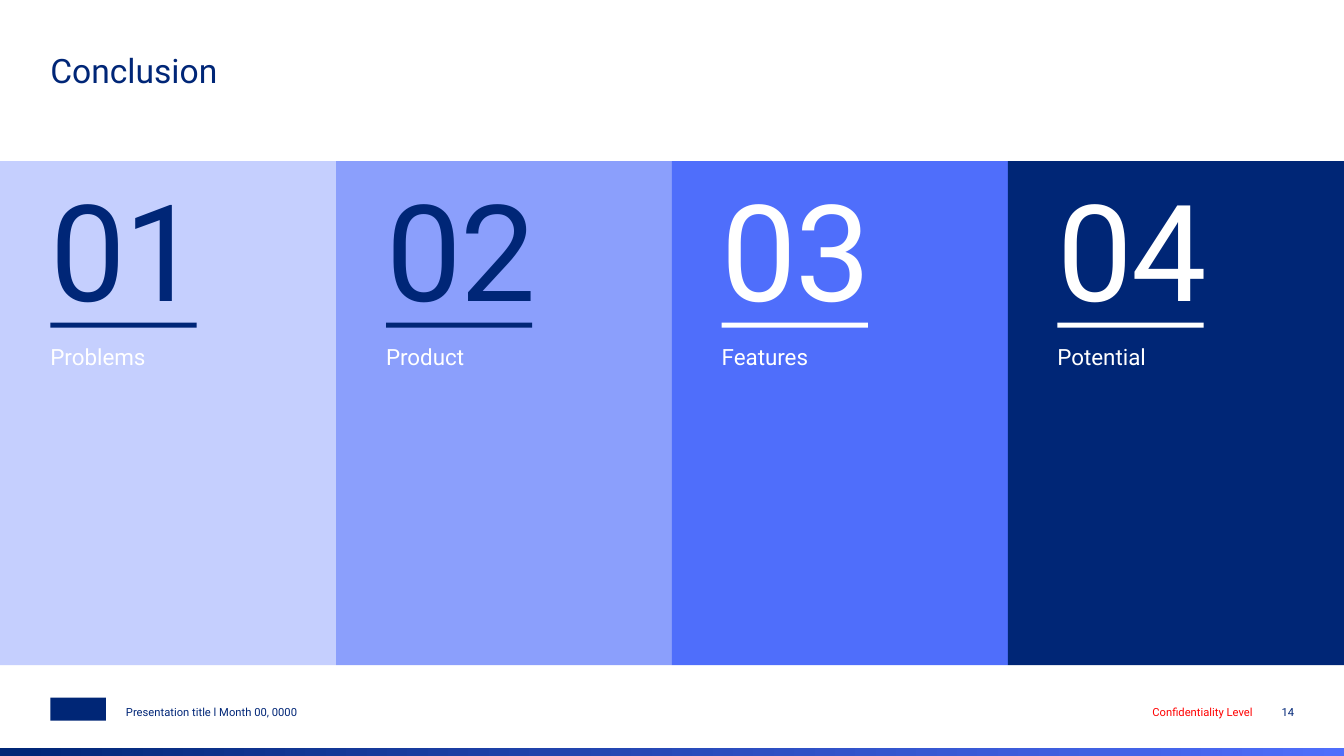
from dataclasses import dataclass

import pptx
import pptx.dml.color
import pptx.enum.shapes
import pptx.enum.text
import pptx.util

Pt = pptx.util.Pt
Align = pptx.enum.text.PP_ALIGN
Anchor = pptx.enum.text.MSO_ANCHOR


@dataclass(frozen=True)
class Theme:
    font: str = "Roboto"
    navy: str = "002677"
    deep: str = "002676"
    blue: str = "4F6EFB"
    soft: str = "8B9FFC"
    pale: str = "C5CFFE"
    white: str = "FFFFFF"
    red: str = "FF0000"
    number_size: int = 96
    title_size: int = 24
    label_size: int = 16
    footer_size: int = 8


def rgb(value):
    return pptx.dml.color.RGBColor.from_string(value)


def write_text(frame, text, *, font, size, color, align=Align.LEFT,
               anchor=Anchor.TOP, line_spacing=None, tracking=None):
    frame.word_wrap = True
    frame.margin_left = frame.margin_right = 0
    frame.margin_top = frame.margin_bottom = 0
    frame.vertical_anchor = anchor
    paragraph = frame.paragraphs[0]
    paragraph.alignment = align
    paragraph.line_spacing = line_spacing
    run = paragraph.add_run()
    run.text = text
    run.font.name = font
    run.font.size = Pt(size)
    run.font.color.rgb = rgb(color)
    if tracking is not None:
        run.font._element.set("spc", str(tracking * 100))


class SlideBuilder:
    """Draw themed elements on one slide, with lengths in points."""

    def __init__(self, slide, theme):
        self.slide = slide
        self.theme = theme

    def rectangle(self, left, top, width, height, color, end_color=None):
        shape = self.slide.shapes.add_shape(
            pptx.enum.shapes.MSO_SHAPE.RECTANGLE,
            Pt(left), Pt(top), Pt(width), Pt(height))
        shape.shadow.inherit = False
        shape.line.fill.background()
        if end_color is None:
            shape.fill.solid()
            shape.fill.fore_color.rgb = rgb(color)
        else:
            shape.fill.gradient()
            shape.fill.gradient_angle = 0
            for stop, value in zip(shape.fill.gradient_stops, (color, end_color)):
                stop.color.rgb = rgb(value)

    def text(self, left, top, width, height, text, **style):
        shape = self.slide.shapes.add_textbox(
            Pt(left), Pt(top), Pt(width), Pt(height))
        write_text(shape.text_frame, text, font=self.theme.font, **style)

    def panel(self, index, label, fill, accent):
        left = 36 + 239.76 * index
        self.rectangle(240 * index, 115.2, 240, 360, fill)
        self.text(left, 122.4, 168, 111.6, f"{index + 1:02}",
                  size=self.theme.number_size, color=accent,
                  anchor=Anchor.BOTTOM, line_spacing=0.8, tracking=-1)
        self.rectangle(left, 230.4, 104.4, 3.6, accent)
        self.text(left, 244.8, 169.2, 43.2, label,
                  size=self.theme.label_size, color=self.theme.white)

    def footer(self, left, width, text, color, align=Align.LEFT):
        self.text(left, 496.8, width, 16.56, text, size=self.theme.footer_size,
                  color=color, align=align, anchor=Anchor.BOTTOM)


def main():
    presentation = pptx.Presentation()
    presentation.slide_width = Pt(960)
    presentation.slide_height = Pt(540)
    theme = Theme()
    slide = presentation.slides.add_slide(presentation.slide_layouts[6])
    builder = SlideBuilder(slide, theme)

    builder.rectangle(0, 534.24, 960, 5.76, theme.deep, theme.blue)
    builder.rectangle(36, 498.24, 39.6, 16.56, theme.deep)
    builder.text(36, 36, 659.52, 57.6, "Conclusion",
                 size=theme.title_size, color=theme.navy)

    panels = (
        ("Problems", theme.pale, theme.navy),
        ("Product", theme.soft, theme.navy),
        ("Features", theme.blue, theme.white),
        ("Potential", theme.deep, theme.white),
    )
    for index, (label, fill, accent) in enumerate(panels):
        builder.panel(index, label, fill, accent)

    builder.footer(90, 377.28, "Presentation title l Month 00, 0000", theme.navy)
    builder.footer(720.72, 174.24, "Confidentiality Level", theme.red, Align.RIGHT)
    builder.footer(895.68, 28.8, "14", theme.navy, Align.RIGHT)
    presentation.save("out.pptx")


if __name__ == "__main__":
    main()
